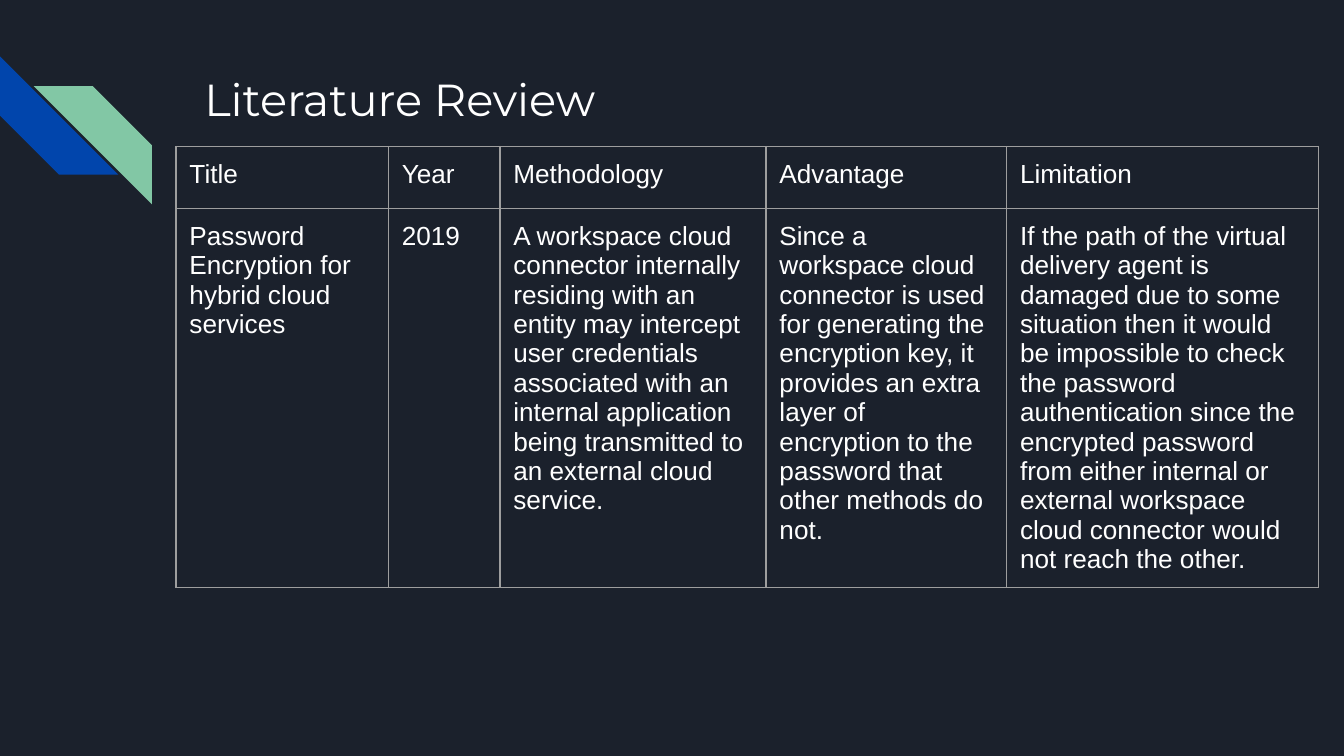
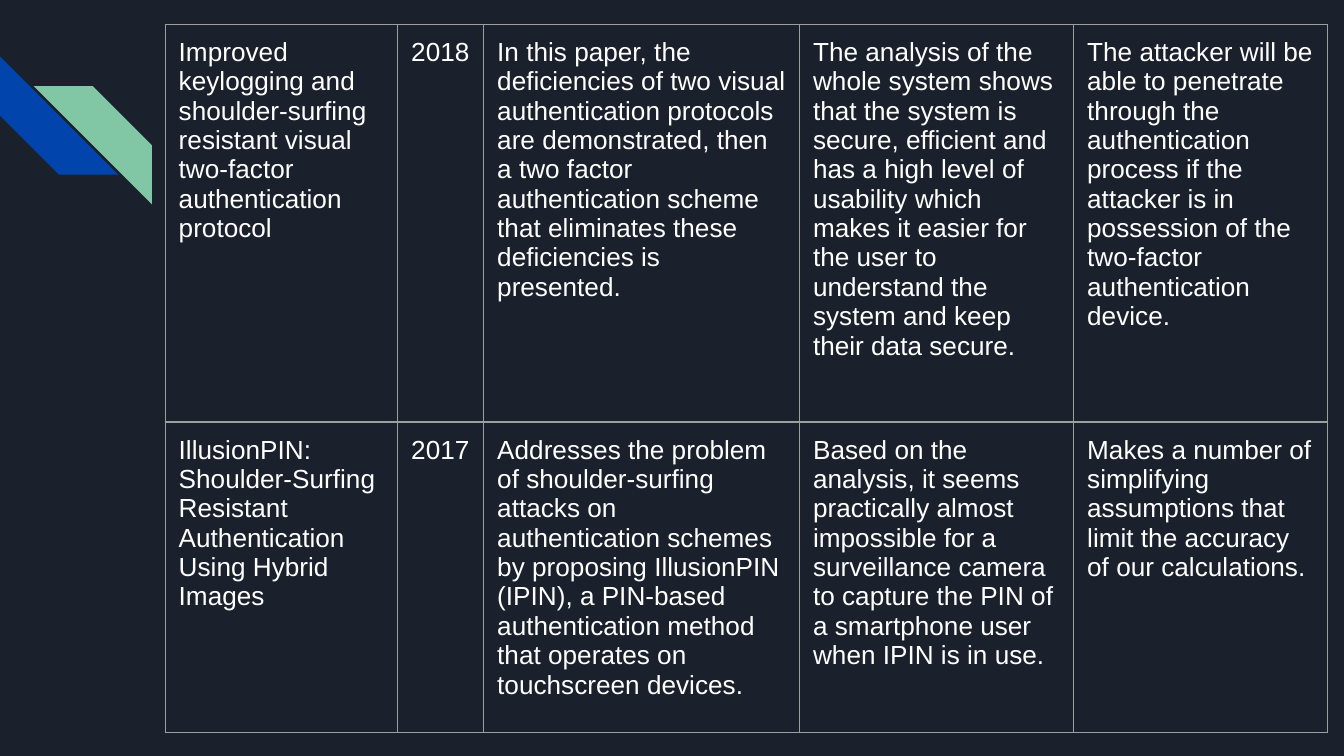
from pptx import Presentation
from pptx import util as u
from pptx.dml.color import RGBColor
from pptx.enum import shapes, text
from pptx.oxml import parse_xml
from pptx.oxml.ns import nsdecls

NAVY = RGBColor(0x1B, 0x21, 0x2C)
BLUE = RGBColor(0x01, 0x45, 0xAC)
GREEN = RGBColor(0x82, 0xC7, 0xA5)
WHITE = RGBColor(0xFF, 0xFF, 0xFF)
GREY = RGBColor(0x9E, 0x9E, 0x9E)

TITLE_FONT = {"name": "Montserrat", "size": u.Pt(24), "bold": False}
CELL_FONT = {"name": "Arial", "size": u.Pt(14), "bold": False}
INSET = u.Inches(0.1)
BORDER = u.Pt(0.75)
STRIPE_SIZE = 0.88
SLIDE_WIDTH = 10

# Content: table position, column widths and row heights in inches
SLIDES = [
    {
        "title": "Literature Review",
        "at": (1.31, 1.09),
        "cols": (1.58, 0.83, 1.98, 1.79, 2.32),
        "rows": (0.46, 1.65),
        "cells": [
            ("Title", "Year", "Methodology", "Advantage", "Limitation"),
            (
                "Password Encryption for hybrid cloud services",
                "2019",
                "A workspace cloud connector internally residing with an entity may "
                "intercept user credentials associated with an internal application "
                "being transmitted to an external cloud service.",
                "Since a workspace cloud connector is used for generating the "
                "encryption key, it provides an extra layer of encryption to the "
                "password that other methods do not.",
                "If the path of the virtual delivery agent is damaged due to some "
                "situation then it would be impossible to check the password "
                "authentication since the encrypted password from either internal or "
                "external workspace cloud connector would not reach the other.",
            ),
        ],
    },
    {
        "title": None,
        "at": (1.23, 0.18),
        "cols": (1.73, 0.64, 2.35, 2.04, 1.89),
        "rows": (2.96, 2.31),
        "cells": [
            (
                "Improved keylogging and shoulder-surfing resistant visual "
                "two-factor authentication protocol",
                "2018",
                "In this paper, the deficiencies of two visual authentication "
                "protocols are demonstrated, then a two factor authentication scheme "
                "that eliminates these deficiencies is presented.",
                "The analysis of the whole system shows that the system is secure, "
                "efficient and has a high level of usability which makes it easier "
                "for the user to understand the system and keep their data secure.",
                "The attacker will be able to penetrate through the authentication "
                "process if the attacker is in possession of the two-factor "
                "authentication device.",
            ),
            (
                "IllusionPIN: Shoulder-Surfing Resistant Authentication Using "
                "Hybrid Images",
                "2017",
                "Addresses the problem of shoulder-surfing attacks on authentication "
                "schemes by proposing IllusionPIN (IPIN), a PIN-based authentication "
                "method that operates on touchscreen devices.",
                "Based on the analysis, it seems practically almost impossible for a "
                "surveillance camera to capture the PIN of a smartphone user when "
                "IPIN is in use.",
                "Makes a number of simplifying assumptions that limit the accuracy "
                "of our calculations.",
            ),
        ],
    },
]


def set_text(target, words, font):
    """Write one left-aligned paragraph into a cell or a placeholder."""
    for side in ("left", "right", "top", "bottom"):
        setattr(target, f"margin_{side}", INSET)
    target.vertical_anchor = text.MSO_ANCHOR.TOP
    tf = getattr(target, "text_frame", target)
    p = tf.paragraphs[0]
    p.alignment = text.PP_ALIGN.LEFT
    r = p.add_run()
    r.text = words
    for name, value in font.items():
        setattr(r.font, name, value)
    r.font.color.rgb = WHITE


def add_stripe(s, left, top, color):
    sp = s.shapes.add_shape(
        shapes.MSO_SHAPE.DIAGONAL_STRIPE,
        *map(u.Inches, (left, top, STRIPE_SIZE, STRIPE_SIZE)))
    sp.adjustments[0] = 0.5
    sp.shadow.inherit = False
    sp.fill.solid()
    sp.fill.fore_color.rgb = color
    sp.line.fill.background()
    return sp


def add_stripes(s):
    add_stripe(s, 0, 0.42, BLUE).rotation = 270
    green = add_stripe(s, 0.25, 0.64, GREEN)
    green._element.spPr.get_or_add_xfrm().set("flipH", "1")


def add_title(s, words):
    sp = s.shapes.title
    sp.left, sp.top, sp.width, sp.height = map(u.Inches, (1.42, 0.43, 7.7, 1))
    sp.text_frame.word_wrap = True
    set_text(sp.text_frame, words, TITLE_FONT)


def add_borders(cell):
    tcPr = cell._tc.get_or_add_tcPr()
    for side in "LRTB":
        tcPr.append(parse_xml(
            f'<a:ln{side} {nsdecls("a")} w="{BORDER}"><a:solidFill>'
            f'<a:srgbClr val="{GREY}"/></a:solidFill></a:ln{side}>'))


def add_review_table(s, at, cols, rows, cells):
    table = s.shapes.add_table(
        len(rows), len(cols),
        *map(u.Inches, (*at, sum(cols), sum(rows)))).table
    table.first_row = table.horz_banding = False
    for column, width in zip(table.columns, cols):
        column.width = u.Inches(width)
    for row, height, entries in zip(table.rows, rows, cells):
        row.height = u.Inches(height)
        for cell, words in zip(row.cells, entries):
            set_text(cell, words, CELL_FONT)
            add_borders(cell)
            cell.fill.background()


def main():
    prs = Presentation()
    # Widescreen, 16:9
    prs.slide_width = u.Inches(SLIDE_WIDTH)
    prs.slide_height = u.Inches(SLIDE_WIDTH * 9 / 16)
    title_only, blank = prs.slide_layouts[5], prs.slide_layouts[6]

    # Shared background
    fill = prs.slide_master.background.fill
    fill.solid()
    fill.fore_color.rgb = NAVY

    # Slides
    for review in SLIDES:
        content = dict(review)
        title = content.pop("title")
        s = prs.slides.add_slide(title_only if title else blank)
        add_stripes(s)
        if title:
            add_title(s, title)
        add_review_table(s, **content)

    prs.save("out.pptx")


if __name__ == "__main__":
    main()
